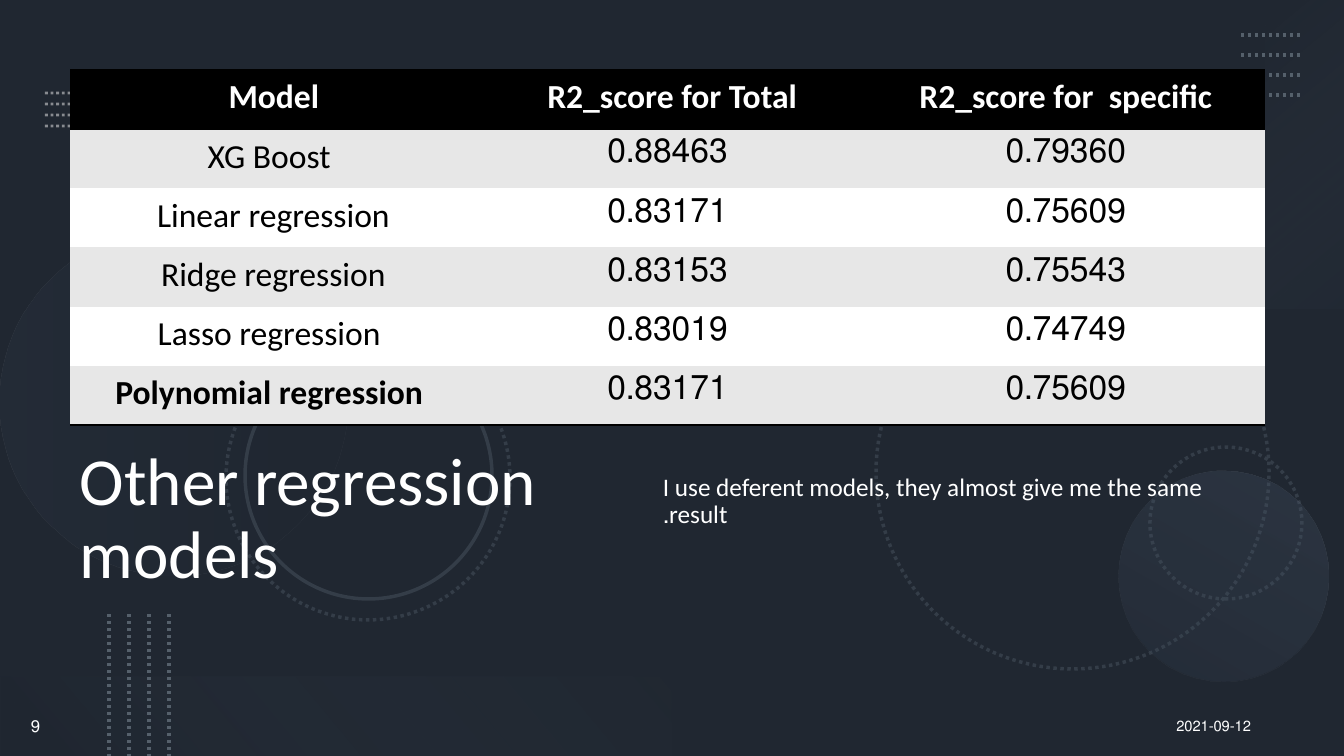
import dataclasses

import lxml.etree
import pptx
import pptx.dml.color
import pptx.enum.dml
import pptx.enum.shapes
import pptx.enum.text
import pptx.oxml.ns
import pptx.util

qn = pptx.oxml.ns.qn
SHAPES = pptx.enum.shapes.MSO_SHAPE
ALIGN = pptx.enum.text.PP_ALIGN
ANCHOR = pptx.enum.text.MSO_ANCHOR
NO_STYLE = "{2D5ABB26-0587-4C30-8999-92F81FD0307C}"


@dataclasses.dataclass(frozen=True)
class Theme:
    font: str = "Calibri"
    base: str = "44546A"
    black: str = "000000"
    white: str = "FFFFFF"
    band: str = "E7E7E7"
    slate: str = "333F50"
    navy: str = "222A35"
    mist: str = "ADB9CA"
    steel: str = "8497B0"
    ring: str = "343D48"
    dots: str = "55606B"
    pale: str = "F1F0F0"
    title: float = 48
    table: float = 24
    body: float = 18
    number: float = 12
    date: float = 10.5


def rgb(value):
    return pptx.dml.color.RGBColor.from_string(value)


def px(value):
    return pptx.util.Emu(round(value * 914400 / 100.8))


def set_opacity(element, *percents):
    for color, percent in zip(element.iter(qn("a:srgbClr")), percents):
        alpha = lxml.etree.SubElement(color, qn("a:alpha"))
        alpha.set("val", str(percent * 1000))


class SlideBuilder:
    def __init__(self, page, theme):
        self.page = page
        self.theme = theme

    def shape(self, kind, box, rotation=0):
        shape = self.page.shapes.add_shape(kind, *map(px, box))
        shape.rotation = rotation
        shape.shadow.inherit = False
        shape.fill.background()
        shape.line.fill.background()
        return shape

    def solid(self, box, color, opacity=100):
        shape = self.shape(SHAPES.RECTANGLE, box)
        shape.fill.solid()
        shape.fill.fore_color.rgb = rgb(color)
        if opacity < 100:
            set_opacity(shape.element.spPr, opacity)

    def gradient(self, kind, box, rotation, angle, stops):
        shape = self.shape(kind, box, rotation)
        shape.fill.gradient()
        shape.fill.gradient_angle = 360 - angle
        for stop, (position, color, opacity) in zip(shape.fill.gradient_stops, stops):
            stop.position = position / 100
            stop.color.rgb = rgb(color)
        set_opacity(shape.element.spPr, *(opacity for _, _, opacity in stops))

    def stroke(self, line, color, width, dotted=True):
        line.color.rgb = rgb(color)
        line.width = pptx.util.Pt(width)
        if dotted:
            line.dash_style = pptx.enum.dml.MSO_LINE.ROUND_DOT

    def ring(self, left, top, size, rotation, dotted=True):
        shape = self.shape(SHAPES.OVAL, (left, top, size, size), rotation)
        self.stroke(shape.line, self.theme.ring, 2.5, dotted)

    def dotted_line(self, start, end, color, width, opacity=100):
        line = self.page.shapes.add_connector(
            pptx.enum.shapes.MSO_CONNECTOR.STRAIGHT, *map(px, start + end))
        self.stroke(line.line, color, width)
        if opacity < 100:
            set_opacity(line.element.spPr, opacity)
        lxml.etree.SubElement(line.element.spPr, qn("a:effectLst"))

    def fill_text(self, frame, text, size, color, align=ALIGN.LEFT, bold=False):
        frame.text = text
        para = frame.paragraphs[0]
        para.alignment = align
        span = para.runs[0]
        span.font.name = self.theme.font
        span.font.size = pptx.util.Pt(size)
        span.font.bold = bold
        span.font.color.rgb = rgb(color)
        return para

    def text(self, box, text, size, align=ALIGN.LEFT, anchor=ANCHOR.TOP,
             spacing=1.0, before=0, after=0):
        frame = self.page.shapes.add_textbox(*map(px, box)).text_frame
        frame.word_wrap = True
        frame.vertical_anchor = anchor
        para = self.fill_text(frame, text, size, self.theme.white, align)
        para.line_spacing = spacing
        para.space_before = pptx.util.Pt(before)
        para.space_after = pptx.util.Pt(after)

    def table(self, box, rows):
        theme = self.theme
        frame = self.page.shapes.add_table(len(rows), len(rows[0]), *map(px, box))
        next(frame.element.iter(qn("a:tableStyleId"))).text = NO_STYLE
        for r, row in enumerate(rows):
            header, last = r == 0, r == len(rows) - 1
            fill = theme.black if header else (theme.white, theme.band)[r % 2]
            for c, text in enumerate(row):
                cell = frame.table.cell(r, c)
                cell.margin_left = cell.margin_right = px(13)
                cell.margin_top = cell.margin_bottom = px(7)
                cell.fill.solid()
                cell.fill.fore_color.rgb = rgb(fill)
                self.fill_text(cell.text_frame, text, theme.table,
                               theme.white if header else theme.black,
                               ALIGN.CENTER, header or (last and c == 0))
        # Rules above and below the header, and under the last row
        lines = list(frame.element.iter(qn("a:tr")))
        for line, sides in ((lines[0], ("a:lnB", "a:lnT")), (lines[-1], ("a:lnB",))):
            for properties in line.iter(qn("a:tcPr")):
                for side in sides:
                    border = lxml.etree.Element(qn(side), w=str(pptx.util.Pt(2)))
                    paint = lxml.etree.SubElement(border, qn("a:solidFill"))
                    lxml.etree.SubElement(paint, qn("a:srgbClr"), val=theme.black)
                    properties.insert(0, border)

    def read_right_to_left(self):
        for properties in self.page.element.iter(qn("a:pPr")):
            properties.set("rtl", "1")


def main():
    theme = Theme()
    deck = pptx.Presentation()
    deck.slide_width, deck.slide_height = px(1344), px(756)
    slide = SlideBuilder(deck.slides.add_slide(deck.slide_layouts[6]), theme)

    # Background
    slide.solid((0, 0, 1344, 756), theme.base)
    slide.solid((0, 0, 1344, 756), theme.black, 53)

    # Rings and discs
    ball = (1119, 471, 210, 210)
    slide.ring(876, 276, 393, 75)
    slide.ring(1150, 447, 152, 270)
    slide.gradient(SHAPES.OVAL, (0, 229, 347, 347), 270, 90,
                   ((0, theme.slate, 20), (100, theme.navy, 10)))
    slide.gradient(SHAPES.OVAL, ball, 210, 90,
                   ((0, theme.slate, 10), (100, theme.slate, 20)))
    slide.ring(226, 336, 284, 75)
    slide.ring(245, 352, 247, 75, dotted=False)

    # Edge panels and dotted lines
    slide.gradient(SHAPES.RECTANGLE, (1151, 115, 308, 79), 270, 140,
                   ((0, theme.mist, 0), (100, theme.slate, 10)))
    for i in range(4):
        y = 35 + 20 * i
        slide.dotted_line((1241, y), (1301, y), theme.dots, 2.5)
    slide.gradient(SHAPES.RECTANGLE, (0, 677, 672, 79), 180, 140,
                   ((10, theme.navy, 10), (100, theme.steel, 0)))
    for i in range(4):
        x = 109 + 20 * i
        slide.dotted_line((x, 614), (x, 756), theme.dots, 2.5)
    for i in range(4):
        y = 93 + 11 * i
        slide.dotted_line((45, y), (93, y), theme.pale, 2, 50)
    slide.gradient(SHAPES.OVAL, ball, 210, 90,
                   ((0, theme.slate, 10), (100, theme.steel, 10)))

    # Title, comment, slide number and date
    slide.text((70, 443, 559, 235), "Other regression models", theme.title, spacing=0.9)
    slide.text((653, 470, 612, 208),
               "I use deferent models, they almost give me the same result.",
               theme.body, spacing=0.9, before=10)
    slide.text((0, 696, 71, 60), "9", theme.number, ALIGN.CENTER, ANCHOR.MIDDLE, after=6)
    slide.text((1009, 696, 252, 60), "2021-09-12", theme.date,
               ALIGN.RIGHT, ANCHOR.MIDDLE, after=6)

    # Scores
    slide.table((70, 70, 1195, 355), (
        ("Model ", "R2_score for Total ", "R2_score for  specific"),
        ("XG Boost", "0.88463", "0.79360"),
        ("Linear regression ", "0.83171", "0.75609"),
        ("Ridge regression ", "0.83153", "0.75543"),
        ("Lasso regression", "0.83019", "0.74749"),
        ("Polynomial regression", "0.83171", "0.75609"),
    ))

    slide.read_right_to_left()
    deck.save("out.pptx")


if __name__ == "__main__":
    main()
